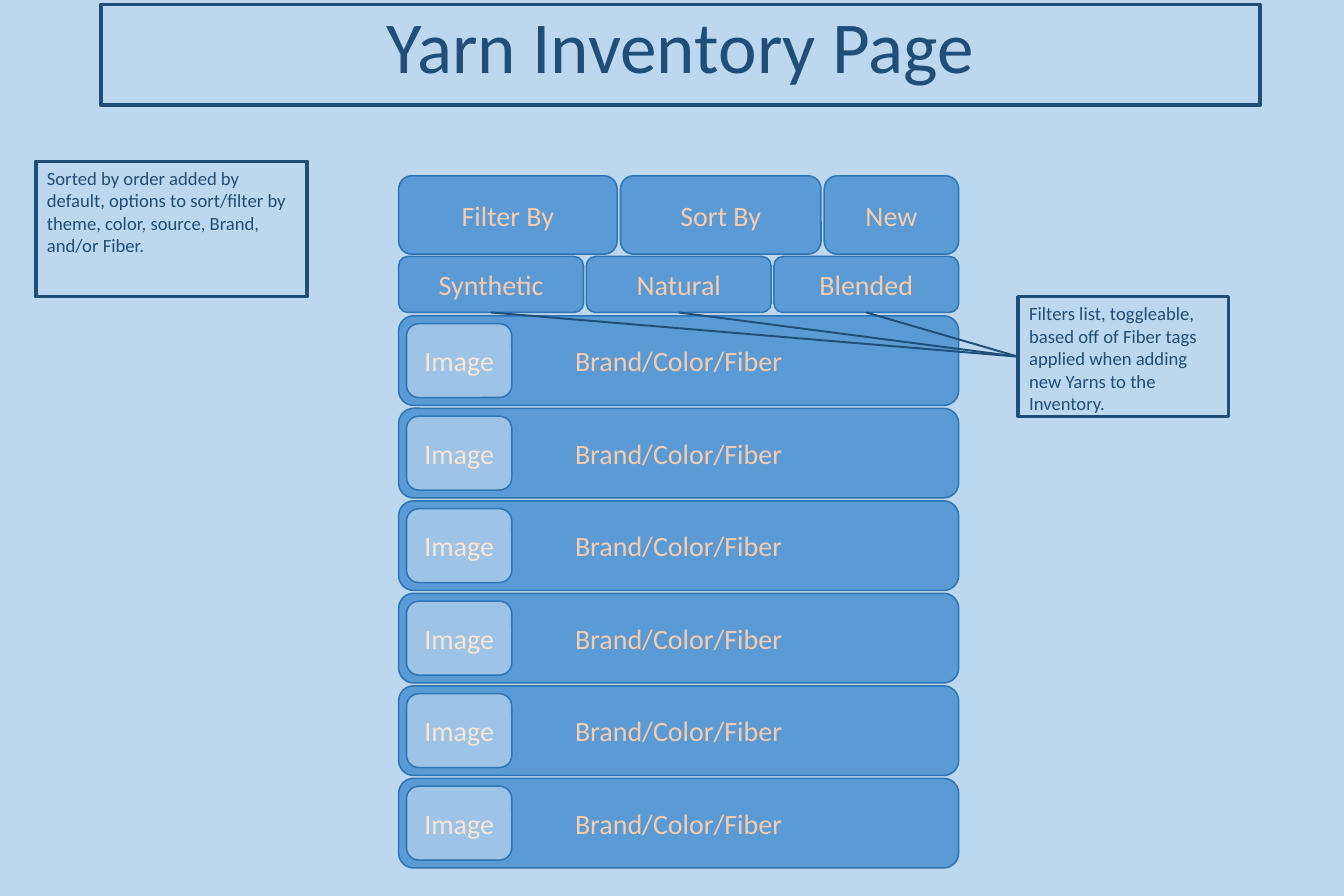
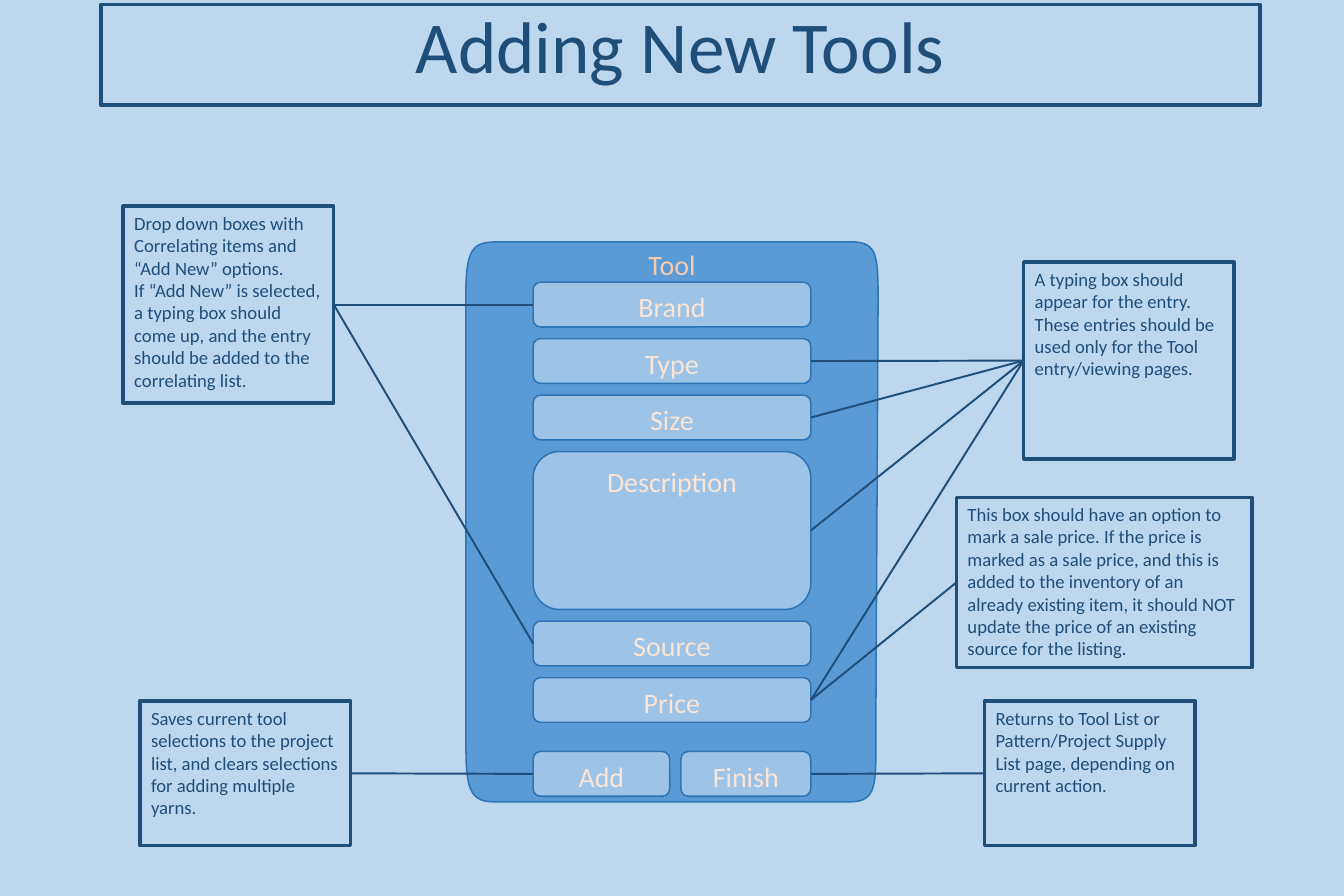
from dataclasses import dataclass

from lxml import etree
from pptx import Presentation
from pptx.dml.color import RGBColor
from pptx.enum.shapes import MSO_CONNECTOR, MSO_SHAPE
from pptx.enum.text import MSO_ANCHOR, PP_ALIGN
from pptx.oxml.ns import qn
from pptx.util import Inches, Pt

RECT, ROUND = MSO_SHAPE.RECTANGLE, MSO_SHAPE.ROUNDED_RECTANGLE
STRAIGHT = MSO_CONNECTOR.STRAIGHT
TOP, MIDDLE = MSO_ANCHOR.TOP, MSO_ANCHOR.MIDDLE
LEFT, CENTER = PP_ALIGN.LEFT, PP_ALIGN.CENTER
WEST, SOUTH, EAST = 1, 2, 3
COLS, ROWS = 12, 8


@dataclass(frozen=True)
class Theme:
    font: str = "Calibri"
    back: str = "BDD7EE"
    ink: str = "1F4E79"
    edge: str = "2E75B6"
    panel: str = "5B9BD5"
    field: str = "9DC3E6"
    peach: str = "F8CBAD"
    cream: str = "FBE5D6"
    head: float = 47
    label: float = 18
    note: float = 12
    frame: float = 2.25
    thin: float = 1
    link: float = 1.25


def spread(start, span, sizes):
    """Place sizes along a span with equal gaps; return (start, size) pairs."""
    gap = (span - sum(sizes)) / (len(sizes) - 1)
    return [(start + sum(sizes[:i]) + i * gap, size)
            for i, size in enumerate(sizes)]


def curve(a, b, c, d, steps=16):
    """Points on a cubic curve from a to d, without a itself."""
    for i in range(1, steps + 1):
        t = i / steps
        s = 1 - t
        yield tuple(s**3 * p + 3 * s * s * t * q + 3 * s * t * t * r + t**3 * u
                    for p, q, r, u in zip(a, b, c, d))


class Deck:
    """Draws on a grid of 12 columns by 8 rows."""

    def __init__(self, theme):
        self.theme = theme
        self.file = Presentation()
        self.file.slide_width = Inches(12)
        self.file.slide_height = Inches(8)
        self.col = self.file.slide_width / COLS
        self.row = self.file.slide_height / ROWS

    def place(self, x, y):
        return round(x * self.col), round(y * self.row)

    def page(self, title):
        self.slide = self.file.slides.add_slide(self.file.slide_layouts[6])
        self.shapes = self.slide.shapes
        fill = self.slide.background.fill
        fill.solid()
        fill.fore_color.rgb = RGBColor.from_string(self.theme.back)
        head = self.frame((0.9, 0.04, 10.35, 0.9), title, self.theme.head, CENTER)
        head.text_frame.paragraphs[0].line_spacing = 0.9

    def paint(self, shape, fill, line, width):
        shape.shadow.inherit = False
        if fill:
            shape.fill.solid()
            shape.fill.fore_color.rgb = RGBColor.from_string(fill)
        else:
            shape.fill.background()
        shape.line.color.rgb = RGBColor.from_string(line)
        shape.line.width = Pt(width)

    def label(self, shape, text, size, color, align, anchor):
        frame = shape.text_frame
        frame.word_wrap = True
        frame.vertical_anchor = anchor
        frame.text = text
        for para in frame.paragraphs:
            para.alignment = align
            for run in para.runs:
                run.font.name = self.theme.font
                run.font.size = Pt(size)
                run.font.color.rgb = RGBColor.from_string(color)

    def block(self, kind, box):
        x, y, width, height = box
        return self.shapes.add_shape(
            kind, *self.place(x, y), *self.place(width, height))

    def frame(self, box, text, size, align):
        """Outlined box without fill."""
        shape = self.block(RECT, box)
        self.paint(shape, None, self.theme.ink, self.theme.frame)
        self.label(shape, text, size, self.theme.ink, align, TOP)
        return shape

    def note(self, box, text):
        return self.frame(box, text, self.theme.note, LEFT)

    def button(self, box, text, anchor=MIDDLE, light=False):
        look = self.theme
        fill, color = ((look.field, look.cream) if light
                       else (look.panel, look.peach))
        shape = self.block(ROUND, box)
        self.paint(shape, fill, look.edge, look.thin)
        self.label(shape, text, look.label, color, CENTER, anchor)
        return shape

    def bar(self, left, top, span, height, items, **style):
        """Row of buttons with equal gaps."""
        spots = spread(left, span, [width for _, width in items])
        return [self.button((x, top, width, height), text, **style)
                for (text, _), (x, width) in zip(items, spots)]

    def panel(self, points, text):
        look = self.theme
        spots = [self.place(*point) for point in points]
        pen = self.shapes.build_freeform(*spots[0])
        pen.add_line_segments(spots[1:], close=True)
        shape = pen.convert_to_shape()
        self.paint(shape, look.panel, look.edge, look.thin)
        self.label(shape, text, look.label, look.peach, CENTER, TOP)

    def link(self, start, side, end, side2):
        line = self.shapes.add_connector(STRAIGHT, 0, 0, 0, 0)
        line.begin_connect(start, side)
        line.end_connect(end, side2)
        line.line.color.rgb = RGBColor.from_string(self.theme.ink)
        line.line.width = Pt(self.theme.link)
        etree.SubElement(line._element.spPr, qn("a:effectLst"))


def stock(deck):
    deck.page("Yarn Inventory Page")
    left, span = 3.56, 5
    for top, height in spread(2.82, 4.93, [0.8] * 6):
        deck.button((left, top, span, height), "Brand/Color/Fiber")
        deck.button((left + 0.07, top + 0.07, 0.94, 0.66), "Image", light=True)
    deck.bar(left, 1.57, span, 0.7,
             [("Filter By", 1.95), ("Sort By", 1.79), ("New", 1.2)])
    tags = deck.bar(left, 2.29, span, 0.5,
                    [(tag, 1.65) for tag in ("Synthetic", "Natural", "Blended")])
    deck.note((0.32, 1.44, 2.42, 1.21),
              "Sorted by order added by default, options to sort/filter by "
              "theme, color, source, Brand, and/or Fiber.")
    hint = deck.note((9.09, 2.65, 1.88, 1.07),
                     "Filters list, toggleable, based off of Fiber tags applied "
                     "when adding new Yarns to the Inventory.")
    for tag in tags:
        deck.link(tag, SOUTH, hint, WEST)


def tools(deck):
    deck.page("Adding New Tools")
    deck.panel([
        (4.16, 2.62),
        *curve((4.16, 2.62), (4.16, 2.16), (4.25, 2.16), (4.5, 2.16)),
        (7.6, 2.16),
        *curve((7.6, 2.16), (7.85, 2.16), (7.84, 2.3), (7.84, 2.76)),
        (7.82, 6.53),
        *curve((7.82, 6.53), (7.82, 6.99), (7.84, 7.16), (7.59, 7.16)),
        (4.41, 7.16),
        *curve((4.41, 7.16), (4.16, 7.16), (4.16, 6.99), (4.16, 6.53)),
    ], "Tool")

    left, span, low = 4.76, 2.48, 0.4
    names = ["Brand", "Type", "Size", "Description", "Source", "Price"]
    sizes = [1.41 if name == "Description" else low for name in names]
    field = {name: deck.button((left, top, span, height), name, TOP, True)
             for name, (top, height) in zip(names, spread(2.52, 3.93, sizes))}
    add, finish = deck.bar(left, 6.71, span, low,
                           [("Add", 1.22), ("Finish", 1.16)],
                           anchor=TOP, light=True)

    drop = deck.note((1.1, 1.84, 1.88, 1.76),
                     "Drop down boxes with Correlating items and “Add New” "
                     "options.\nIf “Add New” is selected, a typing box should "
                     "come up, and the entry should be added to the "
                     "correlating list.")
    entry = deck.note((9.14, 2.34, 1.88, 1.76),
                      "A typing box should appear for the entry. These entries "
                      "should be used only for the Tool entry/viewing pages.")
    sale = deck.note((8.54, 4.44, 2.64, 1.52),
                     "This box should have an option to mark a sale price. If "
                     "the price is marked as a sale price, and this is added to "
                     "the inventory of an already existing item, it should NOT "
                     "update the price of an existing source for the listing.")
    save = deck.note((1.25, 6.26, 1.88, 1.29),
                     "Saves current tool selections to the project list, and "
                     "clears selections for adding multiple yarns.")
    back = deck.note((8.79, 6.26, 1.88, 1.29),
                     "Returns to Tool List or Pattern/Project Supply List page, "
                     "depending on current action.")

    for name in ("Brand", "Source"):
        deck.link(field[name], WEST, drop, EAST)
    for name in ("Type", "Size", "Description", "Price"):
        deck.link(field[name], EAST, entry, WEST)
    deck.link(field["Price"], EAST, sale, WEST)
    deck.link(add, WEST, save, EAST)
    deck.link(finish, EAST, back, WEST)


def main():
    deck = Deck(Theme())
    stock(deck)
    tools(deck)
    deck.file.save("out.pptx")


if __name__ == "__main__":
    main()
